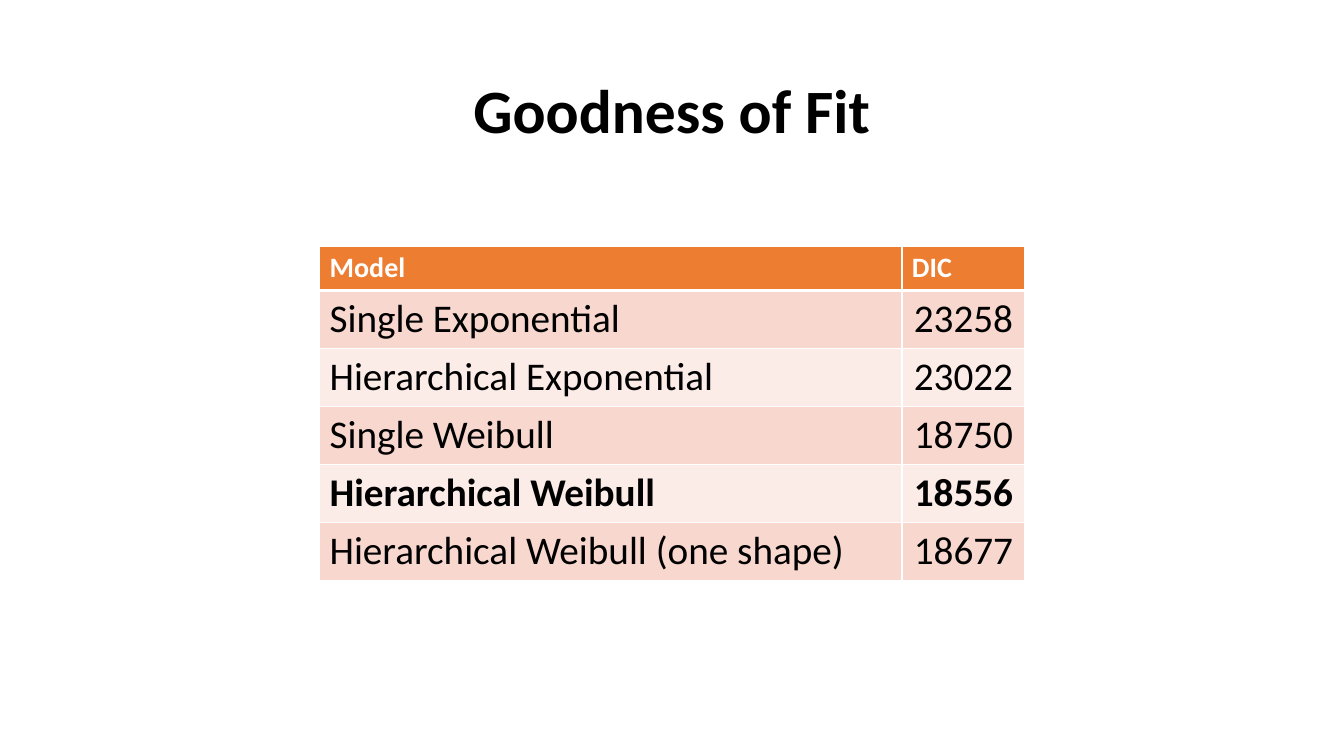
from dataclasses import dataclass

from lxml.etree import SubElement
from pptx import Presentation
from pptx.dml.color import RGBColor
from pptx.enum.text import MSO_ANCHOR as Anchor, PP_ALIGN as Align
from pptx.oxml.ns import qn
from pptx.util import Pt


@dataclass(frozen=True)
class Theme:
    font: str = "Calibri"
    ink: str = "000000"
    white: str = "FFFFFF"
    header: str = "ED7D31"
    bands: tuple = ("F8D7CE", "FCECE8")
    title_size: float = 44
    header_size: float = 20
    body_size: float = 28
    rule: float = 1
    header_rule: float = 3


THEME = Theme()
MODELS = [
    ("Single Exponential", "23258"),
    ("Hierarchical Exponential", "23022"),
    ("Single Weibull", "18750"),
    ("Hierarchical Weibull", "18556"),
    ("Hierarchical Weibull (one shape)", "18677"),
]
BEST_MODEL = "Hierarchical Weibull"


def write(frame, wording, size, color, bold, align):
    paragraph = frame.paragraphs[0]
    paragraph.alignment = align
    run = paragraph.add_run()
    run.text = wording
    formats = {"name": THEME.font, "size": Pt(size), "bold": bold}
    for key, value in formats.items():
        setattr(run.font, key, value)
    run.font.color.rgb = RGBColor.from_string(color)
    return paragraph


def draw_borders(cell, widths):
    properties = cell._tc.get_or_add_tcPr()
    for position, (side, width) in enumerate(widths.items()):
        line = SubElement(properties, qn(f"a:ln{side}"), w=str(Pt(width)))
        fill = SubElement(line, qn("a:solidFill"))
        SubElement(fill, qn("a:srgbClr"), val=THEME.white)
        properties.insert(position, line)


def add_title(slide, box, wording):
    title = slide.shapes.title
    for key, value in zip(("left", "top", "width", "height"), box):
        setattr(title, key, Pt(value))
    title.text_frame.vertical_anchor = Anchor.MIDDLE
    heading = write(title.text_frame, wording, THEME.title_size, THEME.ink, True, Align.CENTER)
    heading.line_spacing = 0.9


def add_fit_table(slide, box, headings, models):
    rows = [headings, *models]
    left, top, width, height = box
    fit = slide.shapes.add_table(
        len(rows), len(headings), Pt(left), Pt(top), Pt(width), Pt(height)
    ).table
    score_width, header_height = 88, 31.6
    fit.columns[0].width = Pt(width - score_width)
    fit.columns[1].width = Pt(score_width)
    for r, row in enumerate(rows):
        is_header = r == 0
        fit.rows[r].height = Pt(header_height if is_header else (height - header_height) / len(models))
        fill = THEME.header if is_header else THEME.bands[(r - 1) % 2]
        size = THEME.header_size if is_header else THEME.body_size
        color = THEME.white if is_header else THEME.ink
        bold = is_header or row[0] == BEST_MODEL
        borders = {
            "L": THEME.rule,
            "R": THEME.rule,
            "T": THEME.header_rule if r == 1 else THEME.rule,
            "B": THEME.header_rule if is_header else THEME.rule,
        }
        for c, wording in enumerate(row):
            cell = fit.cell(r, c)
            cell.fill.solid()
            cell.fill.fore_color.rgb = RGBColor.from_string(fill)
            draw_borders(cell, borders)
            align = Align.CENTER if c and not is_header else Align.LEFT
            write(cell.text_frame, wording, size, color, bold, align)


def main():
    deck = Presentation()
    deck.slide_width, deck.slide_height = Pt(960), Pt(540)
    slide = deck.slides.add_slide(deck.slide_layouts[5])
    add_title(slide, (66, 28.75, 828, 104.4), "Goodness of Fit")
    add_fit_table(slide, (228.25, 175.7, 504, 238.6), ("Model", "DIC"), MODELS)
    deck.save("out.pptx")


if __name__ == "__main__":
    main()
